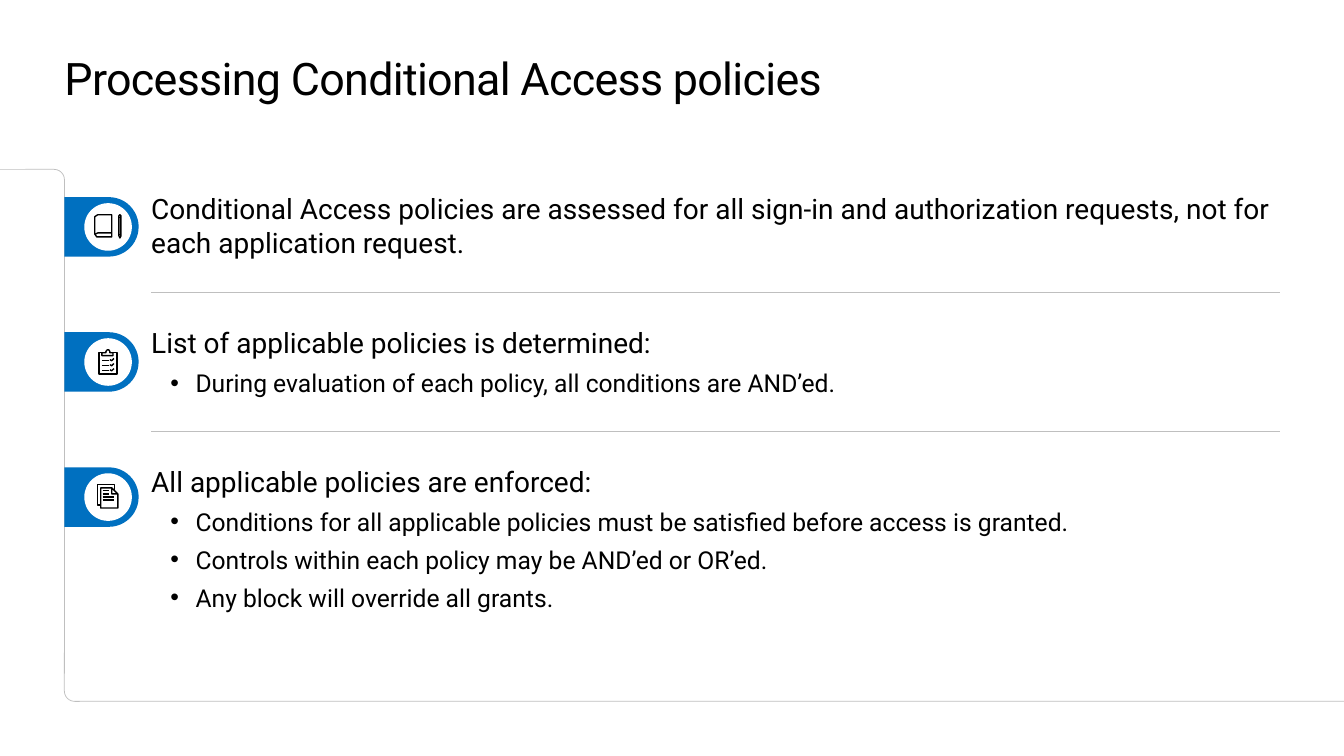
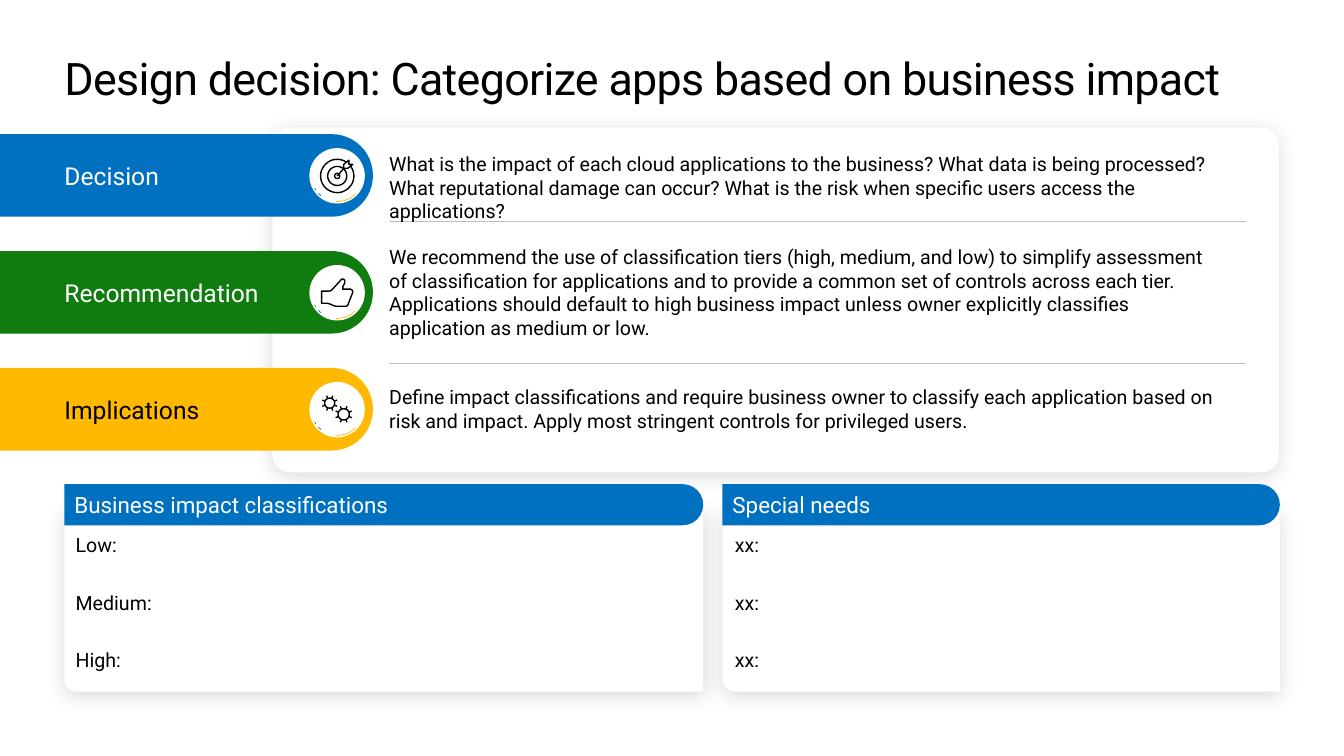
"""Build two slides on access policies and the categorisation of apps by business impact."""
import math

import lxml.etree
import pptx
import pptx.dml.color
import pptx.enum.shapes
import pptx.enum.text
import pptx.oxml.ns
import pptx.util

Pt = pptx.util.Pt
SHAPE = pptx.enum.shapes.MSO_SHAPE
ANCHOR = pptx.enum.text.MSO_ANCHOR
colour = pptx.dml.color.RGBColor.from_string
qn = pptx.oxml.ns.qn

FONT = "Roboto"
BLACK, WHITE, GREY = "000000", "FFFFFF", "BFBFBF"
BLUE, GREEN, YELLOW, SKY = "0070C0", "107C10", "FFB900", "0078D4"
MARGIN = 46


def add_block(slide, kind, box, fill=None, line=None, turn=0, adjust=(), shadow=False):
    """Add a preset shape whose visible bounds, after turning, are box."""
    left, top, width, height = box
    if turn == 90:
        left, top = left + (width - height) / 2, top + (height - width) / 2
        width, height = height, width
    block = slide.shapes.add_shape(kind, Pt(left), Pt(top), Pt(width), Pt(height))
    block.rotation = turn
    for position, value in enumerate(adjust):
        block.adjustments[position] = value
    if fill:
        block.fill.solid()
        block.fill.fore_color.rgb = colour(fill)
    else:
        block.fill.background()
    if line:
        block.line.color.rgb = colour(line)
        block.line.width = Pt(0.5)
    else:
        block.line.fill.background()
    block.shadow.inherit = False
    if shadow:
        effects = block._element.spPr.find(qn("a:effectLst"))
        outer = lxml.etree.SubElement(effects, qn("a:outerShdw"), blurRad=str(Pt(15)),
                                      dist=str(Pt(3)), dir="5400000", rotWithShape="0")
        tint = lxml.etree.SubElement(outer, qn("a:srgbClr"), val=BLACK)
        lxml.etree.SubElement(tint, qn("a:alpha"), val="14000")
    return block


def write(frame, text, size, ink=BLACK, after=0, anchor=ANCHOR.TOP, inset=0):
    """Fill a text frame with left-aligned paragraphs."""
    frame.text = text
    frame.word_wrap = True
    frame.auto_size = pptx.enum.text.MSO_AUTO_SIZE.NONE
    frame.vertical_anchor = anchor
    frame.margin_left = frame.margin_top = frame.margin_right = frame.margin_bottom = Pt(inset)
    for paragraph in frame.paragraphs:
        paragraph.alignment = pptx.enum.text.PP_ALIGN.LEFT
        paragraph.space_before = Pt(0)
        paragraph.space_after = Pt(after)
        for run in paragraph.runs:
            run.font.name = FONT
            run.font.size = Pt(size)
            run.font.color.rgb = colour(ink)


deck = pptx.Presentation()
deck.slide_width, deck.slide_height = Pt(960), Pt(540)
processing = deck.slides.add_slide(deck.slide_layouts[1])
decision = deck.slides.add_slide(deck.slide_layouts[5])

for slide, heading in (
    (processing, "Processing Conditional Access policies"),
    (decision, "Design decision: Categorize apps based on business impact"),
):
    title = slide.shapes.title
    title.left, title.top, title.width, title.height = Pt(MARGIN), Pt(36), Pt(868), Pt(39)
    write(title.text_frame, heading, 32)
    title.text_frame.paragraphs[0].runs[0]._r.get_or_add_rPr().set("spc", "-50")

bend = (0.25, 0, 0.25, 0.16)
add_block(processing, SHAPE.BENT_ARROW, (0, 121, MARGIN, 360), line=GREY, turn=90, adjust=bend)
base = add_block(processing, SHAPE.BENT_ARROW, (MARGIN, 455, 914, 46), line=GREY, adjust=bend)
base._element.spPr.find(qn("a:xfrm")).set("flipV", "1")

for row in range(3):
    top = 140.8 + 96.5 * row
    add_block(processing, SHAPE.ROUND_2_SAME_RECTANGLE, (MARGIN, top, 53, 42.5), BLUE,
              turn=90, adjust=(0.5, 0))
    add_block(processing, SHAPE.OVAL, (60.2, top + 4.3, 34, 34), WHITE)

steps = (
    (0, "Conditional Access policies are assessed for all sign-in and authorization requests, "
        "not for each application request."),
    (0, "List of applicable policies is determined:"),
    (1, "During evaluation of each policy, all conditions are AND’ed."),
    (0, "All applicable policies are enforced:"),
    (1, "Conditions for all applicable policies must be satisfied before access is granted."),
    (1, "Controls within each policy may be AND’ed or OR’ed."),
    (1, "Any block will override all grants."),
)
body = processing.placeholders[1]
body.left, body.top, body.width, body.height = Pt(108), Pt(136.8), Pt(806), Pt(305)
write(body.text_frame, "\n".join(text for _, text in steps), 20)
for index, (paragraph, (level, _)) in enumerate(zip(body.text_frame.paragraphs, steps)):
    properties = paragraph._p.get_or_add_pPr()
    properties.set("marL", str(Pt(31.7 * level)))
    properties.set("indent", str(Pt(-18 * level)))
    if level:
        lxml.etree.SubElement(properties, qn("a:buFont"), typeface="Arial")
        lxml.etree.SubElement(properties, qn("a:buChar"), char="•")
        paragraph.space_before = Pt(6)
        paragraph.runs[0].font.size = Pt(17.6)
    else:
        lxml.etree.SubElement(properties, qn("a:buNone"))
        paragraph.space_before = Pt(48 if index else 0)

add_block(decision, SHAPE.ROUNDED_RECTANGLE, (194.5, 91, 719, 246.5), WHITE,
          adjust=(0.052,), shadow=True)

for slide, start, end, levels in (
    (processing, 108, 914, (209, 308)),
    (decision, 278, 890, (158.4, 259.2)),
):
    for level in levels:
        divider = slide.shapes.add_connector(pptx.enum.shapes.MSO_CONNECTOR.STRAIGHT,
                                             Pt(start), Pt(level), Pt(end), Pt(level))
        divider.line.color.rgb = colour(GREY)
        divider.line.width = Pt(0.5)
        lxml.etree.SubElement(divider._element.spPr, qn("a:effectLst"))

topics = (
    ("Decision", BLUE, WHITE, 108.7, 612,
     "What is the impact of each cloud applications to the business? What data is being "
     "processed? What reputational damage can occur? What is the risk when specific users "
     "access the applications?"),
    ("Recommendation", GREEN, WHITE, 175, 593,
     "We recommend the use of classification tiers (high, medium, and low) to simplify "
     "assessment of classification for applications and to provide a common set of controls "
     "across each tier. Applications should default to high business impact unless owner "
     "explicitly classifies application as medium or low."),
    ("Implications", YELLOW, BLACK, 275, 593,
     "Define impact classifications and require business owner to classify each application "
     "based on risk and impact. Apply most stringent controls for privileged users."),
)
for row, (label, fill, ink, text_top, text_width, detail) in enumerate(topics):
    top = 95.8 + 83.5 * row
    add_block(decision, SHAPE.ROUND_2_SAME_RECTANGLE, (0, top, 266.4, 59), fill,
              turn=90, adjust=(0.5, 0))
    add_block(decision, SHAPE.OVAL, (221, top + 10, 39.6, 39.6), WHITE)
    for hue, turn, end in ((YELLOW, 0, 92.54), (SKY, 83.9, 53.1), (GREEN, 102, 49.11)):
        add_block(decision, SHAPE.ARC, (222.5, top + 11.5, 36.7, 36.7), line=hue, turn=turn,
                  adjust=(45.06 * 0.6, end * 0.6))
    caption = decision.shapes.add_textbox(Pt(MARGIN), Pt(top), Pt(165), Pt(59))
    write(caption.text_frame, label, 17.6, ink, anchor=ANCHOR.MIDDLE)
    answer = decision.shapes.add_textbox(Pt(278), Pt(text_top), Pt(text_width), Pt(68))
    write(answer.text_frame, detail, 14)

for left, width, text_left, heading, entries in (
    (MARGIN, 456.3, 54, "Business impact classifications", "Low:\nMedium:\nHigh:"),
    (516, 398.2, 525, "Special needs", "xx:\nxx:\nxx:"),
):
    add_block(decision, SHAPE.ROUND_1_RECTANGLE, (left, 363.5, width, 130.5), WHITE,
              turn=180, adjust=(0.066,), shadow=True)
    bar = add_block(decision, SHAPE.ROUND_2_SAME_RECTANGLE, (left, 345.8, width, 29.4), BLUE,
                    turn=90, adjust=(0.5, 0))
    write(bar.text_frame, heading, 16, WHITE, anchor=ANCHOR.MIDDLE, inset=7.2)
    bar.text_frame._txBody.bodyPr.set("vert", "vert270")
    listing = decision.shapes.add_textbox(Pt(text_left), Pt(381), Pt(width - 18), Pt(100))
    write(listing.text_frame, entries, 14, after=24)

notebook = [
    [(122, 0), (122, 158), (14, 158), (0, 137), (0, 14), (22, 0), (122, 0)],
    [(122, 130), (22, 130), (0, 140)],
    [(180, 166), (187, 151), (187, 7), (180, 0), (173, 7), (173, 151), (180, 166)],
    [(173, 18), (187, 18)],
    [(173, 142), (187, 142)],
]
checklist = [
    [(22, 22), (0, 22), (0, 173), (130, 173), (130, 22), (101, 22)],
    [(50, 22), (50, 14), (58, 3), (65, 0), (73, 3), (79, 14), (79, 22), (101, 22),
     (101, 43), (22, 43), (22, 22), (50, 22)],
]
for y in (79, 115, 151):
    checklist += [[(22, y), (72, y)], [(79, y - 7), (92, y), (108, y - 16)]]
pages = [
    [(22, 144), (0, 144), (0, 0), (122, 0), (122, 43)],
    [(101, 22), (101, 65), (144, 65), (101, 22), (22, 22), (22, 166), (144, 166), (144, 65)],
]
pages += [[(36, y), (end, y)] for y, end in ((43, 79), (65, 79), (86, 115), (108, 115))]
target = [
    [(119, 119), (166, 65)],
    [(230, 36), (202, 36), (202, 7), (166, 36), (166, 65), (194, 65), (230, 36)],
]
thumb = [[
    (0, 86), (0, 173), (43, 173), (65, 180), (86, 190), (101, 194), (173, 194), (182, 192),
    (187, 187), (223, 94), (221, 82), (209, 72), (151, 72), (153, 50), (166, 29), (166, 10),
    (158, 0), (144, 0), (72, 79), (62, 84), (50, 86), (0, 86),
]]
gears = []
for icon, x, y, radius, first, last in (
    (target, 119, 119, 119, -35, 305),
    (target, 119, 119, 68, 0, 360),
    (target, 119, 119, 18, 0, 360),
    (gears, 58, 50, 36, 0, 360),
    (gears, 158, 130, 40, 0, 360),
):
    angles = [math.radians(first + (last - first) * step / 36) for step in range(37)]
    icon.append([(x + radius * math.cos(a), y + radius * math.sin(a)) for a in angles])
for x, y, inner, outer in ((58, 50, 36, 57), (158, 130, 40, 62)):
    for tooth in range(8):
        a = math.radians(22.5 + 45 * tooth)
        gears.append([(x + r * math.cos(a), y + r * math.sin(a)) for r in (inner, outer)])

for slide, left, top, strokes in (
    (processing, 67.7, 153.4, notebook),
    (processing, 70.6, 249.8, checklist),
    (processing, 69.8, 346.3, pages),
    (decision, 229, 113.8, target),
    (decision, 229.7, 199.4, thumb),
    (decision, 229.7, 283, gears),
):
    pen = slide.shapes.build_freeform(*strokes[0][0], scale=Pt(0.1))
    pen.add_line_segments(strokes[0][1:], close=False)
    for stroke in strokes[1:]:
        pen.move_to(*stroke[0])
        pen.add_line_segments(stroke[1:], close=False)
    symbol = pen.convert_to_shape(Pt(left), Pt(top))
    symbol.fill.background()
    symbol.line.color.rgb = colour(BLACK)
    symbol.line.width = Pt(1)
    symbol.shadow.inherit = False

deck.save("out.pptx")
